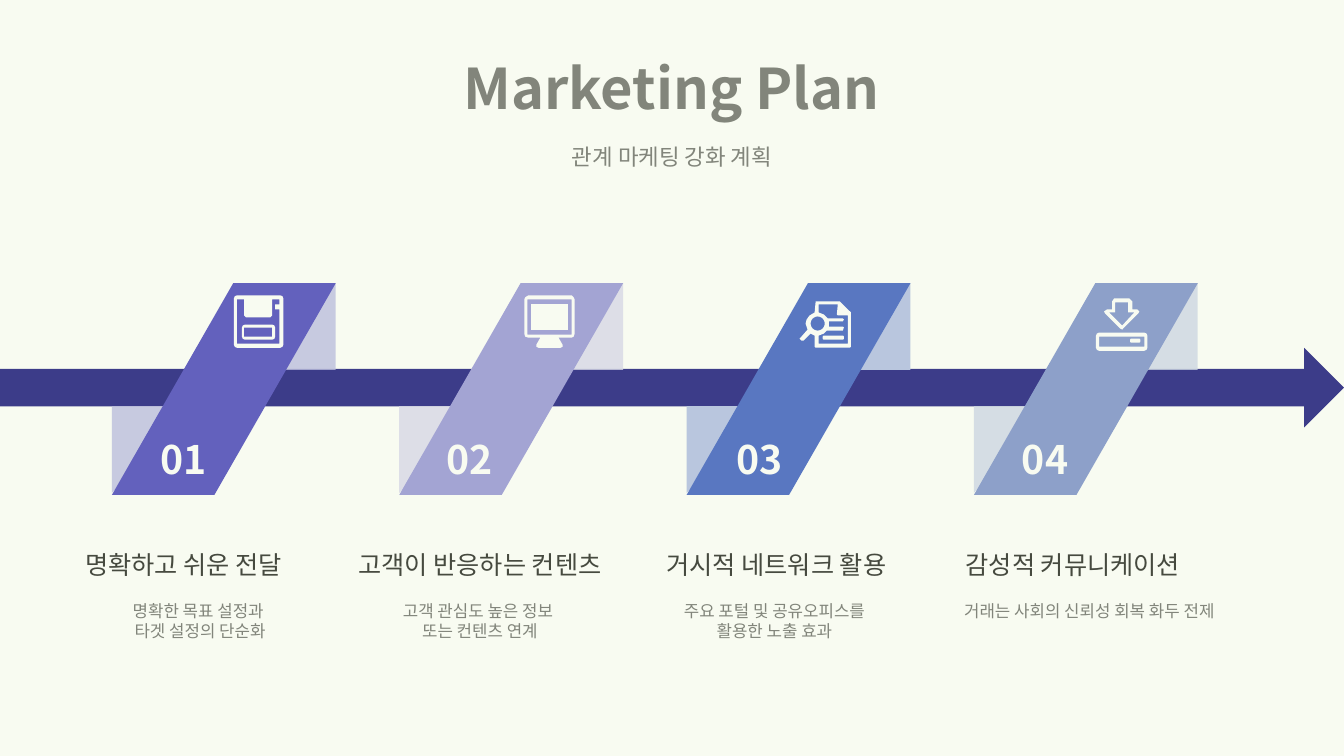
from math import cos, pi, sin

from lxml.etree import SubElement
from pptx import Presentation
from pptx.dml.color import RGBColor
from pptx.enum.shapes import MSO_SHAPE as SHAPE
from pptx.enum.text import MSO_ANCHOR as ANCHOR, MSO_AUTO_SIZE as FIT, PP_ALIGN as ALIGN
from pptx.oxml.ns import qn
from pptx.util import Inches, Pt

FONT = "Noto Sans CJK KR"
GREY, DARK, WHITE = "808080", "404040", "FFFFFF"
RIBBON_LEFT, RIBBON_STEP, RIBBON_TOP = 1.11, 2.85, 2.81
CAPTION_LEFT, CAPTION_STEP = 0.13, 2.94

STAGES = [
    ("01", 1.35, "5F59C7", "BFBDE9", 80, "명확하고 쉬운 전달",
     ["명확한 목표 설정과 ", "타겟 설정의 단순화"], 3.05),
    ("02", 4.18, "A4A1DF", "DBD9F2", 80, "고객이 반응하는 컨텐츠",
     ["고객 관심도 높은 정보 ", "또는 컨텐츠 연계"], 2.72),
    ("03", 7.06, "5471CC", "BBC6EB", 100, "거시적 네트워크 활용",
     ["주요 포털 및 공유오피스를 ", "활용한 노출 효과 "], 2.72),
    ("04", 9.89, "8C9DD4", "D1D8EE", 80, "감성적 커뮤니케이션",
     ["거래는 사회의 신뢰성 회복 화두 전제"], 3.05),
]


def box(left, top, right, bottom, cut=0):
    """Return the corners of a rectangle, softened when cut is given."""
    if not cut:
        return [(left, top), (right, top), (right, bottom), (left, bottom)]
    near = cut * 0.3
    return [(left + cut, top), (right - cut, top), (right - near, top + near),
            (right, top + cut), (right, bottom - cut), (right - near, bottom - near),
            (right - cut, bottom), (left + cut, bottom), (left + near, bottom - near),
            (left, bottom - cut), (left, top + cut), (left + near, top + near)]


def ring(x, y, radius, steps=24):
    """Return points around a circle."""
    angles = [2 * pi * step / steps for step in range(steps)]
    return [(x + radius * cos(angle), y + radius * sin(angle)) for angle in angles]


DISKETTE = [
    [box(2.32, 2.93, 2.81, 3.45, 0.03),
     [(2.77, 3.07), (2.77, 3.41), (2.35, 3.41), (2.35, 2.97), (2.42, 2.97), (2.42, 3.13),
      (2.44, 3.15), (2.68, 3.15), (2.7, 3.13), (2.7, 2.97), (2.77, 2.97), (2.77, 3.02),
      (2.73, 3.02), (2.73, 3.07)]],
    [box(2.4, 3.22, 2.73, 3.37, 0.03), box(2.42, 3.25, 2.7, 3.34)],
]
MONITOR = [
    [box(5.27, 3.02, 5.63, 3.27)],
    [[(5.24, 3.35), (5.36, 3.35), (5.32, 3.42), (5.32, 3.44), (5.34, 3.45), (5.56, 3.45),
      (5.58, 3.44), (5.58, 3.42), (5.54, 3.35), (5.67, 3.35), (5.69, 3.34), (5.7, 3.31),
      (5.7, 2.97), (5.69, 2.95), (5.67, 2.93), (5.24, 2.93), (5.21, 2.95), (5.2, 2.97),
      (5.2, 3.31), (5.21, 3.34)],
     box(5.23, 2.97, 5.67, 3.32)],
]
SEARCH = [
    [box(8.16, 3.33, 8.37, 3.37, 0.01)],
    [[(7.97, 3.38), (8.04, 3.31), (8.08, 3.33), (8.08, 3.44), (8.09, 3.45), (8.43, 3.45),
      (8.44, 3.44), (8.44, 3.1), (8.33, 2.99), (8.09, 2.99), (8.08, 3.1), (8.03, 3.13),
      (8, 3.17), (7.99, 3.21), (8.01, 3.27), (7.94, 3.35), (7.93, 3.36), (7.95, 3.38)],
     [(8.12, 3.02), (8.31, 3.02), (8.3, 3.12), (8.31, 3.13), (8.41, 3.13), (8.41, 3.41),
      (8.12, 3.41), (8.12, 3.33), (8.17, 3.31), (8.2, 3.28), (8.36, 3.28), (8.37, 3.25),
      (8.36, 3.24), (8.22, 3.24), (8.22, 3.19), (8.36, 3.19), (8.37, 3.17), (8.36, 3.16),
      (8.21, 3.16), (8.17, 3.12), (8.12, 3.1)],
     ring(8.11, 3.21, 0.07)],
]
DOWNLOAD = [
    [[(11.2, 2.96), (11.05, 2.96), (11.03, 2.99), (11.03, 3.07), (10.98, 3.07),
      (10.95, 3.09), (10.96, 3.11), (11.11, 3.26), (11.13, 3.27), (11.14, 3.26),
      (11.29, 3.11), (11.3, 3.09), (11.28, 3.07), (11.23, 3.07), (11.23, 2.99)],
     [(11.25, 3.1), (11.13, 3.23), (11, 3.1), (11.06, 3.1), (11.06, 3), (11.19, 3),
      (11.19, 3.1)]],
    [box(10.87, 3.3, 11.38, 3.48, 0.03), box(10.9, 3.34, 11.35, 3.44)],
    [box(11.21, 3.36, 11.31, 3.4, 0.01)],
]
ICONS = [DISKETTE, MONITOR, SEARCH, DOWNLOAD]


def rgb(value):
    """Turn a hex string into a colour."""
    return RGBColor.from_string(value)


def paint(shape, color, opacity=100):
    """Give a shape a flat fill without line or shadow."""
    shape.shadow.inherit = False
    shape.line.fill.background()
    shape.fill.solid()
    shape.fill.fore_color.rgb = rgb(color)
    if opacity < 100:
        tone = shape.fill._xPr.find(qn("a:solidFill"))[0]
        SubElement(tone, qn("a:alpha"), val=str(opacity * 1000))


def place(shape, left, top, width, height):
    """Move and size a shape, in inches."""
    shape.left, shape.top = Inches(left), Inches(top)
    shape.width, shape.height = Inches(width), Inches(height)


def add_preset(slide, kind, area, color, opacity=100, adjust=(), flip=None):
    """Add a filled preset shape."""
    shape = slide.shapes.add_shape(kind, *map(Inches, area))
    paint(shape, color, opacity)
    for index, value in enumerate(adjust):
        shape.adjustments[index] = value
    if flip:
        shape._element.spPr.find(qn("a:xfrm")).set(flip, "1")


def write(frame, lines, size, color, bold=False):
    """Write centred paragraphs into a text frame."""
    frame.word_wrap = True
    frame.auto_size = FIT.NONE
    for index, line in enumerate(lines):
        paragraph = frame.add_paragraph() if index else frame.paragraphs[0]
        paragraph.alignment = ALIGN.CENTER
        run = paragraph.add_run()
        run.text = line
        run.font.size, run.font.bold = Pt(size), bold
        run.font.color.rgb = rgb(color)
        run.font.name = FONT
        SubElement(run._r.get_or_add_rPr(), qn("a:ea"), typeface=FONT)


def add_label(slide, area, lines, size, color, bold=False):
    """Add a text box."""
    label = slide.shapes.add_textbox(*map(Inches, area))
    write(label.text_frame, lines, size, color, bold)


def add_icon(slide, parts):
    """Draw an icon whose parts are outlines followed by their holes."""
    for outlines in parts:
        pen = None
        for outline in outlines:
            start, *rest = [(Inches(x), Inches(y)) for x, y in outline]
            if pen is None:
                pen = slide.shapes.build_freeform(*start)
            else:
                pen.move_to(*start)
            pen.add_line_segments(rest, close=True)
        paint(pen.convert_to_shape(), WHITE)


def add_heading(slide):
    """Fill the title and the subtitle line."""
    title, subtitle = slide.placeholders
    place(title, 0.88, 0.36, 11.56, 1)
    write(title.text_frame, ["Marketing Plan"], 40, GREY, True)
    title.text_frame.vertical_anchor = ANCHOR.MIDDLE
    place(subtitle, 0.88, 1.37, 11.57, 0.41)
    write(subtitle.text_frame, ["관계 마케팅 강화 계획"], 16, GREY)
    settings = subtitle.text_frame.paragraphs[0]._p.get_or_add_pPr()
    settings.set("marL", "0")
    settings.set("indent", "0")
    SubElement(settings, qn("a:buNone"))


def add_stage(slide, index, stage, icon):
    """Add one ribbon with its number, icon and caption."""
    number, number_left, color, fold, opacity, heading, details, width = stage
    left = RIBBON_LEFT + RIBBON_STEP * index
    add_preset(slide, SHAPE.RIGHT_TRIANGLE, (left + 1.36, RIBBON_TOP, 0.86, 0.86),
               fold, opacity, flip="flipH")
    add_preset(slide, SHAPE.RIGHT_TRIANGLE, (left, RIBBON_TOP + 1.22, 0.86, 0.86),
               fold, opacity, flip="flipV")
    add_preset(slide, SHAPE.PARALLELOGRAM, (left, RIBBON_TOP, 2.22, 2.1), color, adjust=[0.573])
    add_label(slide, (number_left, 4.27, 0.95, 0.57), [number], 28, WHITE, True)
    add_icon(slide, icon)
    caption = CAPTION_LEFT + CAPTION_STEP * index
    add_label(slide, (caption, 5.4, 3.38, 0.4), [heading], 18, DARK)
    add_label(slide, (caption + 0.33, 5.91, width, 0.1 + 0.2 * len(details)), details, 12, GREY)


def main():
    """Build the slide and save it."""
    deck = Presentation()
    deck.slide_width, deck.slide_height = Inches(13.33), Inches(7.5)
    slide = deck.slides.add_slide(deck.slide_layouts[1])
    add_heading(slide)
    add_preset(slide, SHAPE.RIGHT_ARROW, (0, 3.45, 13.33, 0.79), "35318F", adjust=[0.47, 0.5])
    for index, (stage, icon) in enumerate(zip(STAGES, ICONS)):
        add_stage(slide, index, stage, icon)
    add_preset(slide, SHAPE.RECTANGLE, (0, 0, 13.33, 7.5), "9FCE3E", 7)
    deck.save("out.pptx")


if __name__ == "__main__":
    main()
